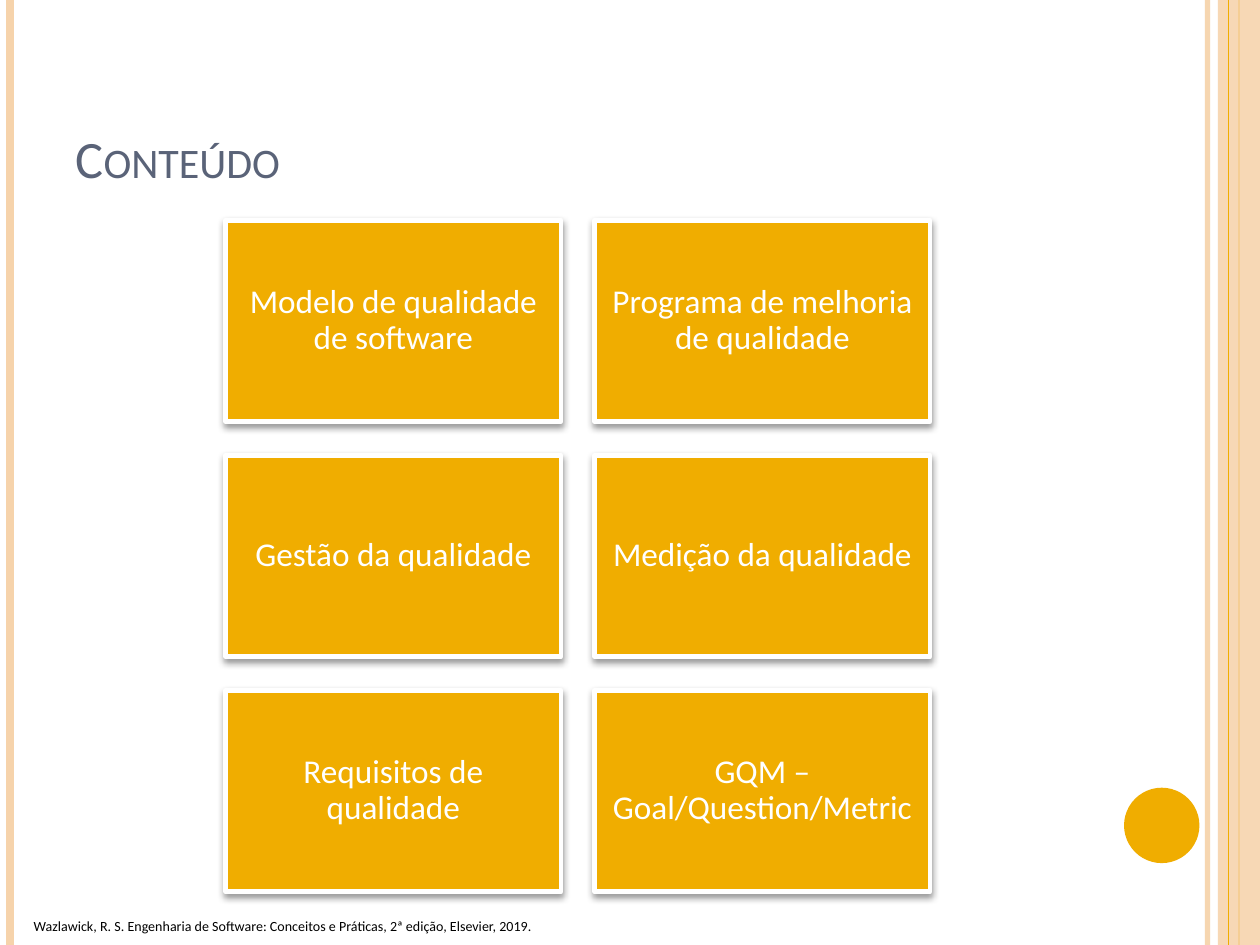
from lxml.etree import SubElement
from pptx import Presentation
from pptx.dml.color import RGBColor
from pptx.enum.shapes import MSO_CONNECTOR as Connector, MSO_SHAPE as Shape
from pptx.enum.text import MSO_ANCHOR as Anchor, MSO_AUTO_SIZE as AutoSize, PP_ALIGN as Align
from pptx.oxml.ns import qn
from pptx.util import Cm, Pt

AMBER = RGBColor(0xF0, 0xAD, 0x00)
PEACH = RGBColor(0xF6, 0xD3, 0xAB)
SLATE = RGBColor(0x5A, 0x63, 0x78)
WHITE = RGBColor(0xFF, 0xFF, 0xFF)
BLACK = RGBColor(0x00, 0x00, 0x00)

FONT = "Calibri"
WIDTH, HEIGHT = 25.4, 19.05

TOPICS = [
    "Modelo de qualidade de software", "Programa de melhoria de qualidade",
    "Gestão da qualidade", "Medição da qualidade",
    "Requisitos de qualidade", "GQM – Goal/Question/Metric",
]
COLUMNS = 2
CARD_WIDTH, CARD_HEIGHT = 6.76, 4.06
GRID_LEFT, GRID_TOP, GAP = 4.55, 4.44, 0.68


def format_text(paragraph, size, color, align=Align.LEFT):
    paragraph.alignment = align
    for run in paragraph.runs:
        run.font.name = FONT
        run.font.size = Pt(size)
        run.font.color.rgb = color


def set_alpha(fill_element, percent):
    color = fill_element.find(".//" + qn("a:srgbClr"))
    SubElement(color, qn("a:alpha"), val=str(percent * 1000))


def add_stripe(slide, x, color, weight, alpha=None):
    stripe = slide.shapes.add_connector(Connector.STRAIGHT, Cm(x), Cm(0), Cm(x), Cm(HEIGHT))
    stripe.line.color.rgb = color
    stripe.line.width = Pt(weight)
    properties = stripe._element.spPr
    if alpha:
        set_alpha(properties.find(qn("a:ln")), alpha)
    SubElement(properties, qn("a:effectLst"))


def add_filled_shape(slide, kind, left, top, width, height, color):
    shape = slide.shapes.add_shape(kind, Cm(left), Cm(top), Cm(width), Cm(height))
    shape.shadow.inherit = False
    shape.fill.solid()
    shape.fill.fore_color.rgb = color
    shape.line.fill.background()
    return shape


def add_soft_shadow(shape):
    effects = shape._element.spPr.find(qn("a:effectLst"))
    shadow = SubElement(effects, qn("a:outerShdw"), blurRad=str(Pt(4)), dist=str(Pt(2)),
                        dir="5400000", rotWithShape="0")
    color = SubElement(shadow, qn("a:srgbClr"), val=str(BLACK))
    SubElement(color, qn("a:alpha"), val="40000")


def add_card(slide, left, top, text):
    card = add_filled_shape(slide, Shape.RECTANGLE, left, top, CARD_WIDTH, CARD_HEIGHT, AMBER)
    card.line.color.rgb = WHITE
    card.line.width = Pt(2.75)
    add_soft_shadow(card)
    frame = card.text_frame
    frame.text = text
    frame.word_wrap = True
    frame.vertical_anchor = Anchor.MIDDLE
    frame.margin_left = frame.margin_right = frame.margin_top = frame.margin_bottom = Cm(0.2)
    frame.paragraphs[0].line_spacing = 0.9
    format_text(frame.paragraphs[0], 19, WHITE, Align.CENTER)


def add_decoration(slide):
    add_stripe(slide, 24.34, PEACH, 3, alpha=93)
    add_stripe(slide, 0.21, PEACH, 4.5)
    add_stripe(slide, 24.98, AMBER, 1.5)
    band = add_filled_shape(slide, Shape.RECTANGLE, 24.55, 0, WIDTH - 24.55, HEIGHT, PEACH)
    set_alpha(band._element.spPr.find(qn("a:solidFill")), 87)
    add_stripe(slide, 24.77, AMBER, 0.75)
    add_filled_shape(slide, Shape.OVAL, 22.66, 15.88, 1.52, 1.52, AMBER)


def add_citation(slide, text):
    box = slide.shapes.add_textbox(Cm(0.43), Cm(18.38), Cm(12.27), Cm(0.6))
    frame = box.text_frame
    frame.text = text
    frame.word_wrap = False
    frame.auto_size = AutoSize.SHAPE_TO_FIT_TEXT
    format_text(frame.paragraphs[0], 8, BLACK)


def set_title(slide, text):
    title = slide.shapes.title
    title.left, title.top, title.width, title.height = Cm(1.27), Cm(0.76), Cm(20.75), Cm(3.18)
    frame = title.text_frame
    frame.text = text
    frame.auto_size = AutoSize.NONE
    frame.vertical_anchor = Anchor.BOTTOM
    format_text(frame.paragraphs[0], 30, SLATE)
    # Small capitals
    frame.paragraphs[0].runs[0]._r.get_or_add_rPr().set("cap", "small")


def main():
    presentation = Presentation()
    presentation.slide_width, presentation.slide_height = Cm(WIDTH), Cm(HEIGHT)
    slide = presentation.slides.add_slide(presentation.slide_layouts[5])

    # Side stripes, circle and reference
    add_decoration(slide)
    add_citation(slide, "Wazlawick, R. S. Engenharia de Software: Conceitos e Práticas, "
                        "2ª edição, Elsevier, 2019.")

    # Title and topic grid
    set_title(slide, "Conteúdo")
    for index, topic in enumerate(TOPICS):
        row, column = divmod(index, COLUMNS)
        add_card(slide, GRID_LEFT + column * (CARD_WIDTH + GAP),
                 GRID_TOP + row * (CARD_HEIGHT + GAP), topic)

    presentation.save("out.pptx")


if __name__ == "__main__":
    main()
